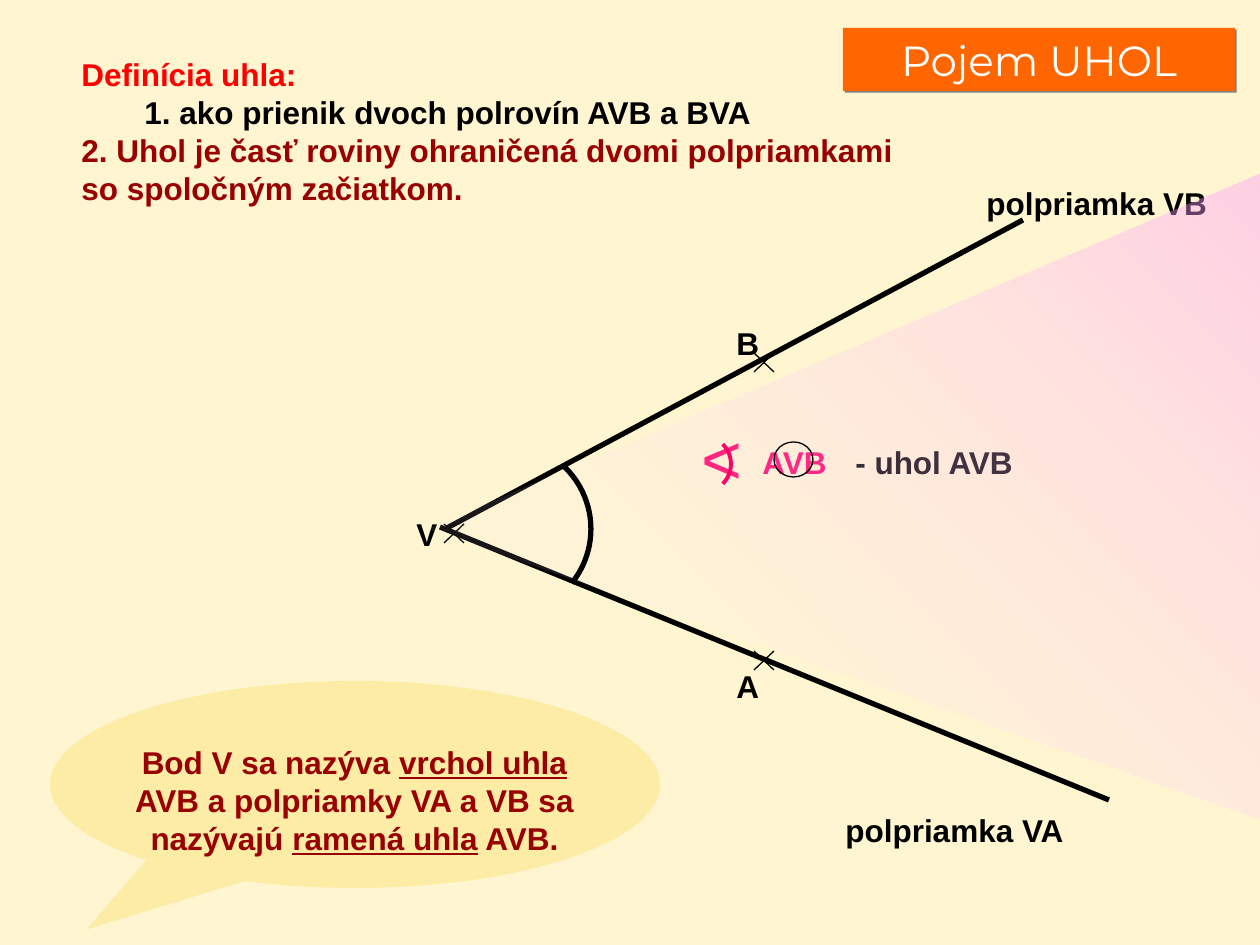
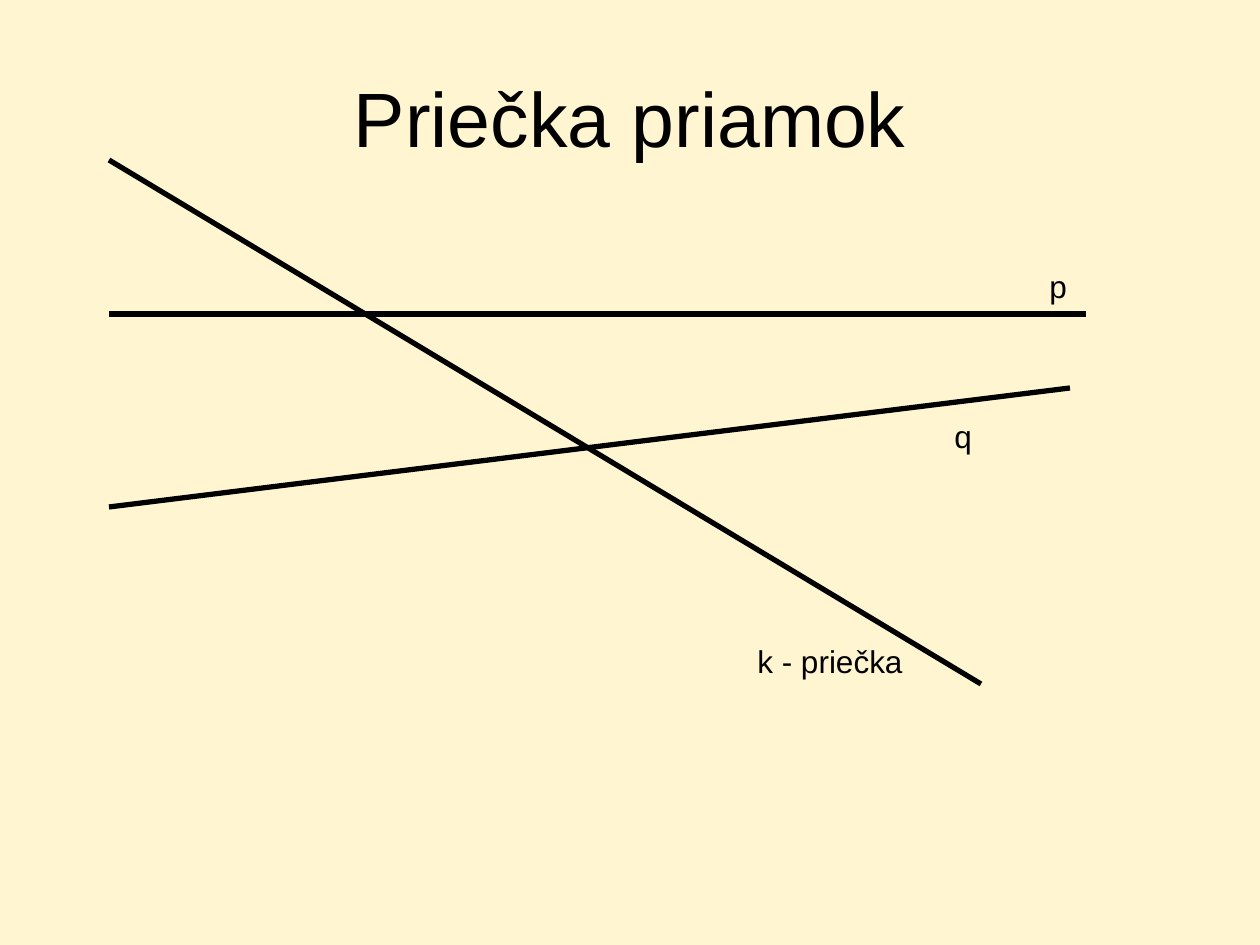
import lxml.etree
import pptx
import pptx.dml.color
import pptx.enum.dml
import pptx.enum.shapes
import pptx.enum.text
import pptx.oxml
import pptx.oxml.ns
import pptx.util

PX = 7257  # EMU in one px, 126 px to the inch
BLACK, DARK_RED, PINK = "000000", "990000", "FF0066"
CREAM, SAND, ORANGE = "FFF6D1", "FDECA5", "FF6600"
DRAWING = "http://schemas.openxmlformats.org/drawingml/2006/main"
SHAPES = pptx.enum.shapes.MSO_SHAPE
CENTER = pptx.enum.text.PP_ALIGN.CENTER
rgb = pptx.dml.color.RGBColor.from_string


def write(paragraph, text, size=18, color=BLACK, bold=False, underline=False, font="Arial"):
    """Append one formatted run to the paragraph."""
    run = paragraph.add_run()
    run.text = text
    run.font.name = font
    run.font.size = pptx.util.Pt(size)
    run.font.bold = bold
    run.font.underline = underline
    run.font.color.rgb = rgb(color)


def draw_line(slide, x1, y1, x2, y2, width=3):
    line = slide.shapes.add_connector(
        pptx.enum.shapes.MSO_CONNECTOR.STRAIGHT, x1 * PX, y1 * PX, x2 * PX, y2 * PX)
    line.line.color.rgb = rgb(BLACK)
    line.line.width = pptx.util.Pt(width)
    lxml.etree.SubElement(line._element.spPr, pptx.oxml.ns.qn("a:effectLst"))


prs = pptx.Presentation()
prs.slide_width, prs.slide_height = 1260 * PX, 945 * PX
prs.slide_master.background.fill.solid()
prs.slide_master.background.fill.fore_color.rgb = rgb(CREAM)

# Titles of both slides
slides = []
for heading, box, style in [
    ("Pojem UHOL", (843, 28, 392, 63), dict(size=24, color="FFFFFF", font="Montserrat")),
    ("Priečka priamok", (63, 38, 1134, 158), dict(size=44)),
]:
    slide = prs.slides.add_slide(prs.slide_layouts[5])
    title = slide.shapes.title
    title.left, title.top, title.width, title.height = [v * PX for v in box]
    title.text_frame.auto_size = pptx.enum.text.MSO_AUTO_SIZE.NONE
    title.text_frame.vertical_anchor = pptx.enum.text.MSO_ANCHOR.MIDDLE
    title.text_frame.paragraphs[0].alignment = CENTER
    write(title.text_frame.paragraphs[0], heading, **style)
    slides.append(slide)
angle_slide, transversal_slide = slides

banner = angle_slide.shapes.title
banner.fill.solid()
banner.fill.fore_color.rgb = rgb(ORANGE)
banner._element.spPr.append(pptx.oxml.parse_xml(
    f'<a:effectLst xmlns:a="{DRAWING}"><a:outerShdw dist="17780" dir="2700000">'
    '<a:srgbClr val="808080"/></a:outerShdw></a:effectLst>'))

# Slide 1: definition, points and rays
definition = angle_slide.shapes.add_textbox(69 * PX, 49 * PX, 845 * PX, 164 * PX).text_frame
definition.word_wrap = False
definition.auto_size = pptx.enum.text.MSO_AUTO_SIZE.SHAPE_TO_FIT_TEXT
for number, (sentence, color) in enumerate([
    ("Definícia uhla:", "FF0000"),
    ("\t1. ako prienik dvoch polrovín AVB a BVA", BLACK),
    ("2. Uhol je časť roviny ohraničená dvomi polpriamkami", DARK_RED),
    ("so spoločným začiatkom.", DARK_RED),
]):
    paragraph = definition.add_paragraph() if number else definition.paragraphs[0]
    write(paragraph, sentence, color=color, bold=True)

for x, y in [(754, 651), (754, 353), (444, 524)]:
    draw_line(angle_slide, x, y, x + 20, y + 19, width=0.75)
    draw_line(angle_slide, x, y + 19, x + 20, y, width=0.75)
draw_line(angle_slide, 440, 527, 1109, 800)
draw_line(angle_slide, 447, 528, 1023, 220)

# Slide 2: two lines and their transversal
draw_line(transversal_slide, 109, 314, 1086, 314)
draw_line(transversal_slide, 109, 507, 1070, 388)
draw_line(transversal_slide, 109, 160, 981, 684)

# Labels of both slides
for slide, x, y, width, label, style in [
    (angle_slide, 724, 661, 79, "A", dict(bold=True)),
    (angle_slide, 724, 318, 50, "B", dict(bold=True)),
    (angle_slide, 404, 509, 79, "V", dict(bold=True)),
    (angle_slide, 974, 178, 273, "polpriamka VB", dict(bold=True)),
    (angle_slide, 833, 805, 273, "polpriamka VA", dict(bold=True)),
    (angle_slide, 689, 408, 77, "<", dict(size=40, color=PINK)),
    (angle_slide, 750, 437, 92, "AVB", dict(bold=True, color=PINK)),
    (angle_slide, 843, 437, 186, "- uhol AVB", dict(bold=True)),
    (transversal_slide, 1037, 261, 66, "p", {}),
    (transversal_slide, 942, 411, 66, "q", {}),
    (transversal_slide, 745, 636, 189, "k - priečka", {}),
]:
    frame = slide.shapes.add_textbox(x * PX, y * PX, width * PX, 50 * PX).text_frame
    frame.word_wrap = True
    frame.auto_size = pptx.enum.text.MSO_AUTO_SIZE.SHAPE_TO_FIT_TEXT
    write(frame.paragraphs[0], label, **style)

# Slide 1: shaded interior of the angle
interior = angle_slide.shapes.add_shape(
    SHAPES.ISOSCELES_TRIANGLE, 523 * PX, 69 * PX, 662 * PX, 853 * PX)
interior.rotation = 270
interior.adjustments[0] = 0.45
interior.shadow.inherit = False
interior.line.fill.background()
interior._element.spPr.find(pptx.oxml.ns.qn("a:prstGeom")).addnext(pptx.oxml.parse_xml(
    f'<a:gradFill xmlns:a="{DRAWING}" rotWithShape="0"><a:gsLst>'
    '<a:gs pos="0"><a:srgbClr val="FF99FF"><a:alpha val="43000"/></a:srgbClr></a:gs>'
    '<a:gs pos="100000"><a:srgbClr val="FFFFFF"><a:alpha val="0"/></a:srgbClr></a:gs>'
    '</a:gsLst><a:lin ang="8100000" scaled="0"/></a:gradFill>'))

# Arcs of the angle and of its symbol, then the ring around the letters
for kind, box, degrees, color, width in [
    (SHAPES.ARC, (419, 443, 172, 172), (313, 39), BLACK, 3),
    (SHAPES.ARC, (675, 436, 56, 56), (315, 45), PINK, 2.25),
    (SHAPES.OVAL, (774, 442, 39, 35), (), BLACK, 0.75),
]:
    curve = angle_slide.shapes.add_shape(kind, *[v * PX for v in box])
    for number, degree in enumerate(degrees):
        curve.adjustments[number] = degree * 0.6  # 60000 units a degree, over 100000
    curve.shadow.inherit = False
    curve.fill.background()
    curve.line.color.rgb = rgb(color)
    curve.line.width = pptx.util.Pt(width)

# Callout about the vertex and the arms
bubble = angle_slide.shapes.add_shape(
    SHAPES.OVAL_CALLOUT, 50 * PX, 681 * PX, 610 * PX, 207 * PX)
bubble.adjustments[0], bubble.adjustments[1] = -0.44, 0.7
bubble.shadow.inherit = False
bubble.fill.solid()
bubble.fill.fore_color.rgb = rgb(SAND)
bubble.line.fill.background()
remark = angle_slide.shapes.add_textbox(97 * PX, 737 * PX, 515 * PX, 126 * PX).text_frame
remark.word_wrap = True
remark.paragraphs[0].alignment = CENTER
for part, underline in [
    ("Bod V sa nazýva ", False),
    ("vrchol uhla", True),
    (" AVB a polpriamky VA a VB sa nazývajú ", False),
    ("ramená uhla", True),
    (" AVB.", False),
]:
    write(remark.paragraphs[0], part, color=DARK_RED, bold=True, underline=underline)

prs.save("out.pptx")
